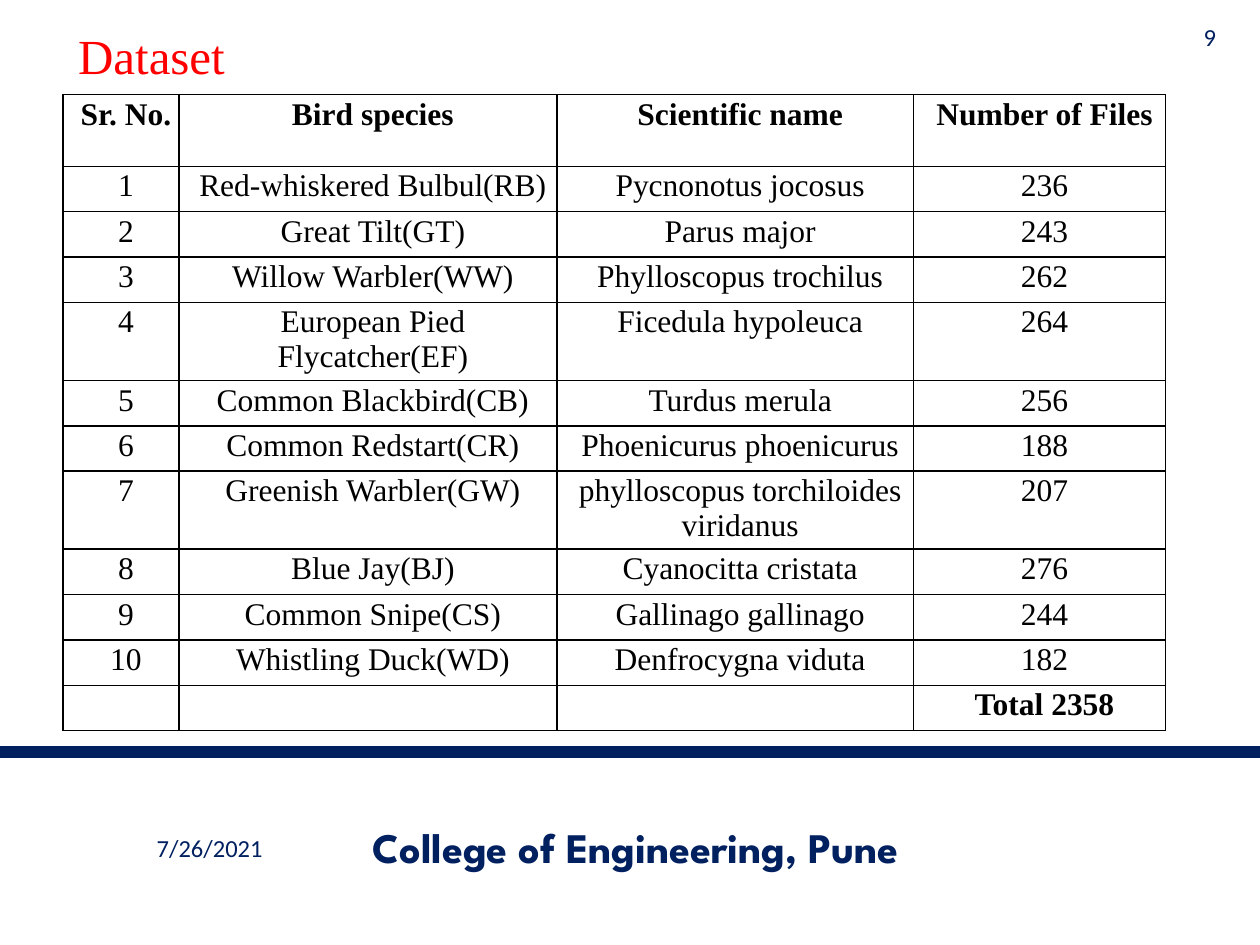
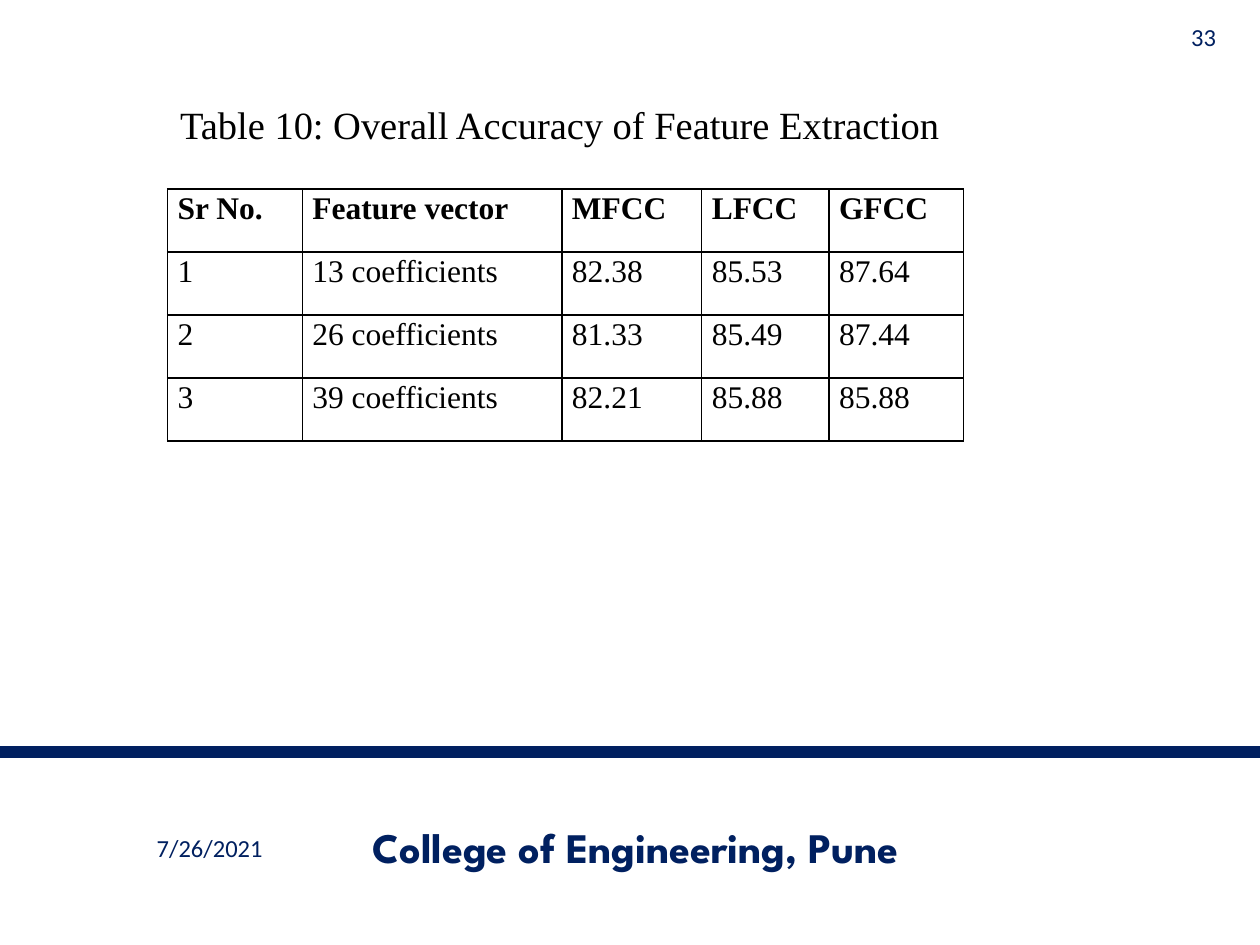
"""Build two slides with tables on bird sound data and feature accuracy."""
import pptx
import pptx.util
import pptx.dml.color
import pptx.enum.shapes
import pptx.enum.text
import pptx.oxml
import pptx.oxml.ns

Inches, Pt = pptx.util.Inches, pptx.util.Pt
RGB = pptx.dml.color.RGBColor
ALIGN = pptx.enum.text.PP_ALIGN
ANCHOR = pptx.enum.text.MSO_ANCHOR

NAVY = RGB(0x00, 0x20, 0x60)
RED = RGB(0xFF, 0x00, 0x00)
BLACK = RGB(0x00, 0x00, 0x00)
WHITE = RGB(0xFF, 0xFF, 0xFF)
SMALL = dict(size=Pt(14), name="Calibri", bold=False)
BRAND = dict(size=Pt(24), name="League Spartan", bold=True)
BODY = dict(size=Pt(18), name="Times New Roman", bold=False)
HEAD = dict(BODY, bold=True)
EDGE = (
    '<a:{} %s w="12700"><a:solidFill><a:srgbClr val="{}"/></a:solidFill></a:{}>'
    % pptx.oxml.ns.nsdecls("a")
)

BIRDS = [
    ("Sr. No.", "Bird species", "Scientific name", "Number of Files"),
    ("1", "Red-whiskered Bulbul(RB)", "Pycnonotus jocosus", "236"),
    ("2", "Great Tilt(GT)", "Parus major", "243"),
    ("3", "Willow Warbler(WW)", "Phylloscopus trochilus", "262"),
    ("4", "European Pied Flycatcher(EF)", "Ficedula hypoleuca", "264"),
    ("5", "Common Blackbird(CB)", "Turdus merula", "256"),
    ("6", "Common Redstart(CR)", "Phoenicurus phoenicurus", "188"),
    ("7", "Greenish Warbler(GW)", "phylloscopus torchiloides viridanus", "207"),
    ("8", "Blue Jay(BJ)", "Cyanocitta cristata", "276"),
    ("9", "Common Snipe(CS)", "Gallinago gallinago", "244"),
    ("10", "Whistling Duck(WD)", "Denfrocygna viduta", "182"),
    ("", "", "", "Total 2358"),
]
SCORES = [
    ("Sr No.", "Feature vector", "MFCC", "LFCC", "GFCC"),
    ("1", "13 coefficients", "82.38", "85.53", "87.64"),
    ("2", "26 coefficients", "81.33", "85.49", "87.44"),
    ("3", "39 coefficients", "82.21", "85.88", "85.88"),
]
TALL = (0, 4, 7)
PAGES = [
    dict(
        num="9", title="Dataset", size=28, color=RED, box=(0.52, 0.15, 6.5, 0.57),
        data=BIRDS, at=(0.5, 0.75), cols=(0.92, 3, 2.83, 2), align=ALIGN.CENTER,
        rows=[0.57 if i in TALL else 0.36 for i in range(len(BIRDS))],
    ),
    dict(
        num="33", title="Table 10: Overall Accuracy of Feature Extraction",
        size=22, color=BLACK, box=(1.33, 0.75, 7.75, 0.47),
        data=SCORES, at=(1.33, 1.5), cols=(1.07, 2.06, 1.11, 1.01, 1.07),
        align=ALIGN.LEFT, rows=[0.5] * len(SCORES),
    ),
]


def write(frame, text, look, color, align):
    """Put one styled line of text in a frame."""
    frame.word_wrap = True
    line = frame.paragraphs[0]
    line.alignment = align
    run = line.add_run()
    run.text = text
    for key, value in look.items():
        setattr(run.font, key, value)
    run.font.color.rgb = color


deck = pptx.Presentation()
deck.slide_width, deck.slide_height = Inches(10), Inches(7.5)
WIDE, HIGH = deck.slide_width, deck.slide_height

for page in PAGES:
    slide = deck.slides.add_slide(deck.slide_layouts[5])
    slide.background.fill.solid()
    slide.background.fill.fore_color.rgb = WHITE

    level = int(HIGH * 0.796)
    band = slide.shapes.add_connector(
        pptx.enum.shapes.MSO_CONNECTOR.STRAIGHT, 0, level, WIDE, level)
    band.line.color.rgb = NAVY
    band.line.width = Pt(6.5)
    band.element.spPr.append(
        pptx.oxml.parse_xml("<a:effectLst %s/>" % pptx.oxml.ns.nsdecls("a")))

    for text, look, align, box in [
        ("7/26/2021", SMALL, ALIGN.CENTER, (0.5, 6.53, 2.33, 0.4)),
        ("College of Engineering, Pune", BRAND, ALIGN.CENTER, (2.42, 6.52, 5.25, 0.4)),
        (page["num"], SMALL, ALIGN.RIGHT, (9.25, 0.15, 0.5, 0.28)),
    ]:
        frame = slide.shapes.add_textbox(*map(Inches, box)).text_frame
        frame.vertical_anchor = ANCHOR.MIDDLE
        write(frame, text, look, NAVY, align)

    title = slide.shapes.title
    title.left, title.top, title.width, title.height = map(Inches, page["box"])
    title.text_frame.vertical_anchor = ANCHOR.TOP
    title.text_frame.auto_size = pptx.enum.text.MSO_AUTO_SIZE.NONE
    write(title.text_frame, page["title"], dict(BODY, size=Pt(page["size"])),
          page["color"], ALIGN.LEFT)

    data, cols, rows = page["data"], page["cols"], page["rows"]
    spot = (*page["at"], sum(cols), sum(rows))
    table = slide.shapes.add_table(len(rows), len(cols), *map(Inches, spot)).table
    table.first_row = table.horz_banding = False
    for col, width in zip(table.columns, cols):
        col.width = Inches(width)
    for r, (row, high) in enumerate(zip(table.rows, rows)):
        row.height = Inches(high)
        for cell, text in zip(row.cells, data[r]):
            for side, gap in dict(left=0.08, top=0.02, right=0, bottom=0).items():
                setattr(cell, "margin_" + side, Inches(gap))
            cell.fill.background()
            for i, tag in enumerate(("lnL", "lnR", "lnT", "lnB")):
                edge = pptx.oxml.parse_xml(EDGE.format(tag, BLACK, tag))
                cell._tc.tcPr.insert(i, edge)
            if text:
                strong = r == 0 or text.startswith("Total")
                write(cell.text_frame, text, HEAD if strong else BODY,
                      BLACK, page["align"])

deck.save("out.pptx")
